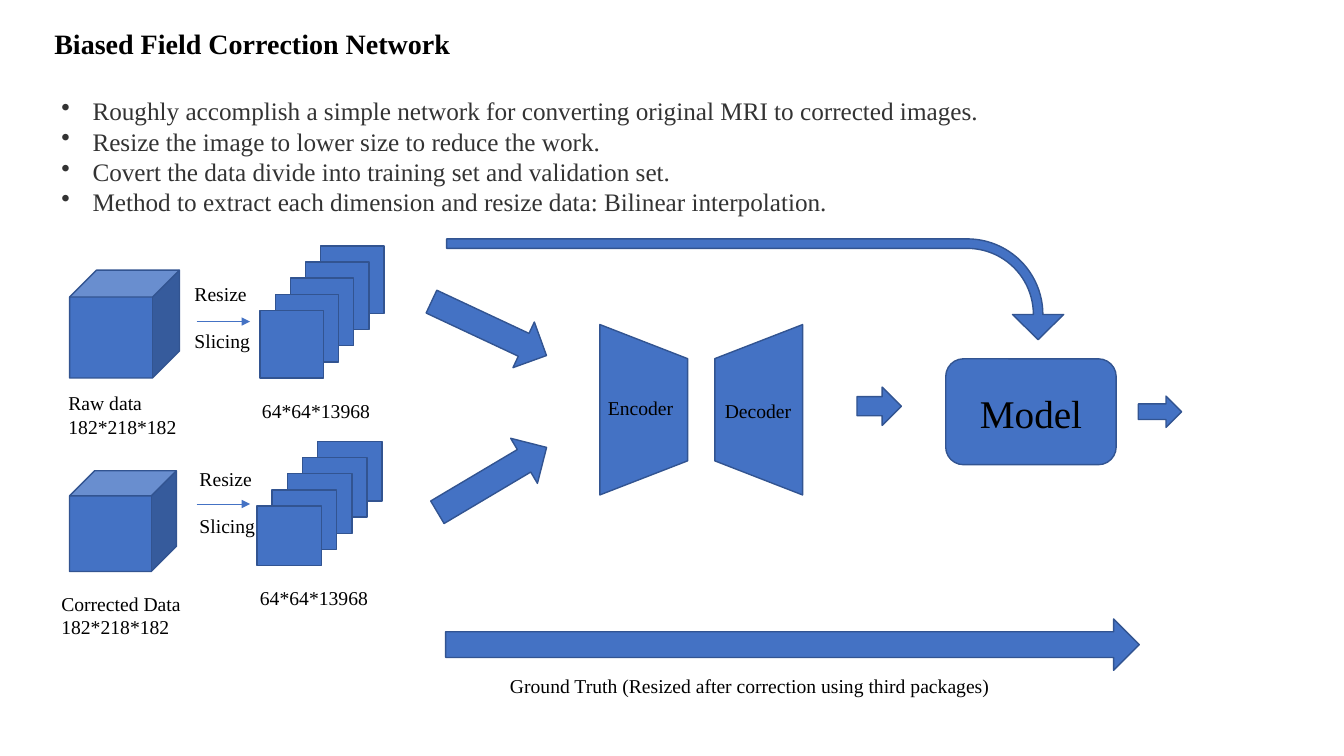
from pptx import Presentation, util as u
from pptx.dml import color
from pptx.enum import shapes, text
from pptx.oxml.ns import qn
from lxml import etree

FONT = "Times New Roman"
BLUE, EDGE = "4472C4", "325491"
KIND = shapes.MSO_SHAPE


def rgb(code):
    """Turn a hex string into a colour."""
    return color.RGBColor.from_string(code)


def box(slide, kind, left, top, width, height, turn=0, adjust=()):
    """Draw a blue preset shape with a dark edge."""
    shape = slide.shapes.add_shape(kind, *map(u.Inches, (left, top, width, height)))
    shape.shadow.inherit = False
    shape.fill.solid()
    shape.fill.fore_color.rgb = rgb(BLUE)
    shape.line.color.rgb = rgb(EDGE)
    shape.line.width = u.Pt(1)
    shape.rotation = turn
    for index, value in enumerate(adjust):
        shape.adjustments[index] = value


def label(slide, lines, left, top, width, height, size=14, bold=False,
          ink="000000", gap=0, bullet=False):
    """Write one paragraph per line, bulleted on request."""
    frame = slide.shapes.add_textbox(*map(u.Inches, (left, top, width, height))).text_frame
    frame.word_wrap = True
    frame.auto_size = text.MSO_AUTO_SIZE.NONE
    frame.text = "\n".join(lines)
    for para in frame.paragraphs:
        para.font.name = FONT
        para.font.size = u.Pt(size)
        para.font.bold = bold
        para.font.color.rgb = rgb(ink)
        para.line_spacing = u.Pt(size * 1.2)
        para.space_after = u.Pt(gap)
        if bullet:
            props = para._p.get_or_add_pPr()
            props.set("marL", str(u.Inches(0.31)))
            props.set("indent", str(-u.Inches(0.31)))
            mark = etree.Element(qn("a:buChar"), char="•")
            props.insert_element_before(mark, "a:tabLst", "a:defRPr", "a:extLst")


def arrow(slide, left, right, y):
    """Draw a thin horizontal arrow."""
    line = slide.shapes.add_connector(
        shapes.MSO_CONNECTOR.STRAIGHT, *map(u.Inches, (left, y, right, y)))
    line.line.color.rgb = rgb(BLUE)
    line.line.width = u.Pt(0.5)
    etree.SubElement(line.line._get_or_add_ln(), qn("a:tailEnd"), type="triangle")
    etree.SubElement(line._element.spPr, qn("a:effectLst"))


def stack(slide, left, top, width, height):
    """Draw five overlapping slices from back to front."""
    for step in range(5):
        box(slide, KIND.RECTANGLE, left - 0.15 * step, top + 0.16 * step, width, height)


def main():
    """Build the slide and save it."""
    deck = Presentation()
    deck.slide_width, deck.slide_height = u.Inches(13.33), u.Inches(7.5)
    slide = deck.slides.add_slide(deck.slide_layouts[6])

    label(slide, ["Biased Field Correction Network"], 0.44, 0.21, 8.95, 0.44, 20, True)
    label(slide, [
        "Roughly accomplish a simple network for converting original MRI to corrected images.",
        "Resize the image to lower size to reduce the work.",
        "Covert the data divide into training set and validation set.",
        "Method to extract each dimension and resize data: Bilinear interpolation.",
    ], 0.51, 0.9, 12, 1.62, 18, ink="333333", bullet=True)

    box(slide, KIND.CUBE, 0.69, 2.68, 1.09, 1.07)
    box(slide, KIND.CUBE, 0.69, 4.67, 1.06, 1)
    stack(slide, 3.18, 2.44, 0.63, 0.67)
    stack(slide, 3.15, 4.38, 0.64, 0.59)

    box(slide, KIND.FLOWCHART_MANUAL_OPERATION, 5.54, 3.63, 1.69, 0.87, 270)
    box(slide, KIND.FLOWCHART_MANUAL_OPERATION, 6.68, 3.63, 1.69, 0.87, 90)
    box(slide, KIND.ROUNDED_RECTANGLE, 9.38, 3.56, 1.69, 1.05)
    box(slide, KIND.BENT_ARROW, 6.99, -0.19, 1, 6.12, 90, (0.094, 0.254, 0.25, 0.75))
    for place in (
        (8.5, 3.84, 0.44, 0.38),
        (11.29, 3.93, 0.43, 0.31),
        (4.42, 6.14, 6.88, 0.51),
        (4.22, 3.01, 1.26, 0.5, 25.1),
        (4.25, 4.5, 1.26, 0.52, 329.3),
    ):
        box(slide, KIND.RIGHT_ARROW, *place)

    for y, left, top in ((3.19, 1.83, 2.75), (5, 1.88, 4.58)):
        arrow(slide, 1.95, 2.48, y)
        label(slide, ["Resize", "Slicing"], left, top, 0.88, 0.81, gap=16.8)

    label(slide, ["Model"], 9.62, 3.81, 1.38, 0.57, 28)
    label(slide, ["Encoder"], 5.93, 3.88, 0.92, 0.34)
    label(slide, ["Decoder"], 7.09, 3.91, 0.94, 0.34)
    label(slide, ["Raw data", "182*218*182"], 0.58, 3.83, 1.35, 0.57)
    label(slide, ["Corrected Data", "182*218*182"], 0.51, 5.82, 6.67, 0.57)
    label(slide, ["64*64*13968"], 2.5, 3.91, 1.88, 0.34)
    label(slide, ["64*64*13968"], 2.48, 5.76, 6.67, 0.34)
    label(slide, ["Ground Truth (Resized after correction using third packages)"],
          4.96, 6.64, 6.24, 0.34)
    deck.save("out.pptx")


if __name__ == "__main__":
    main()
